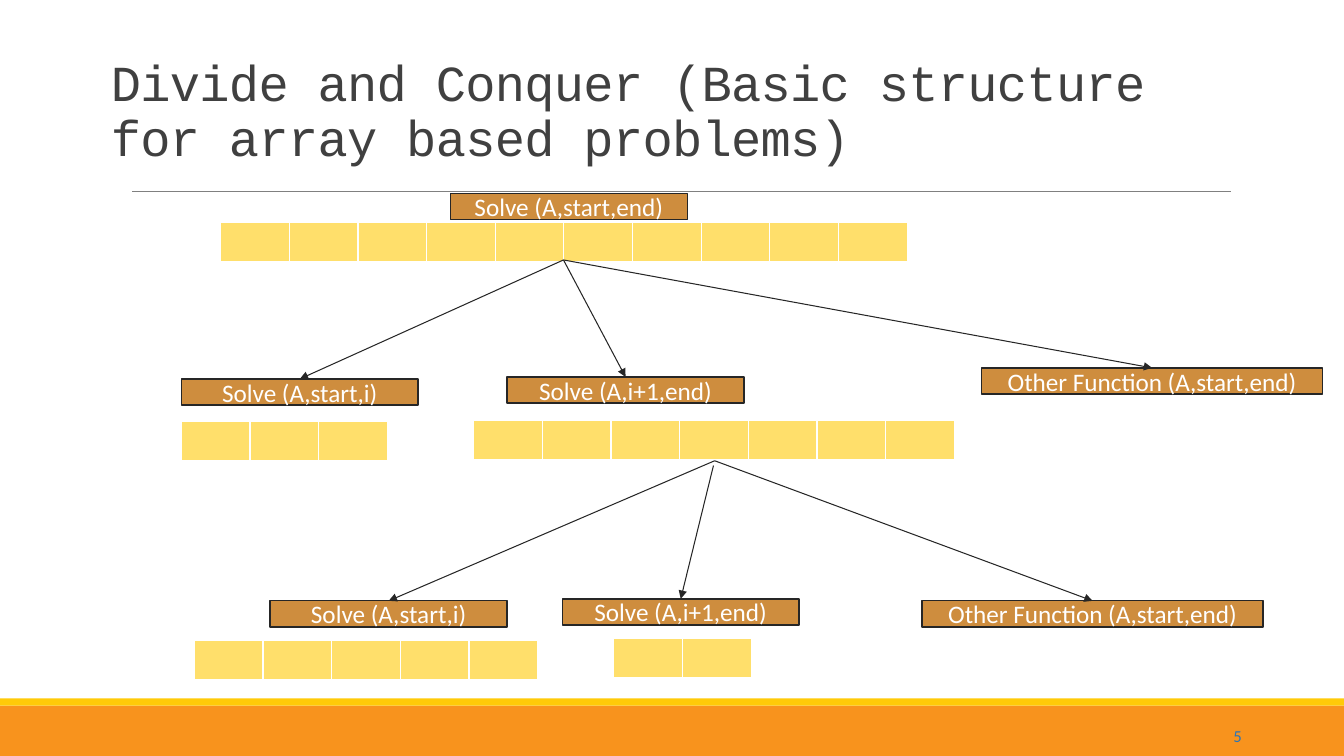
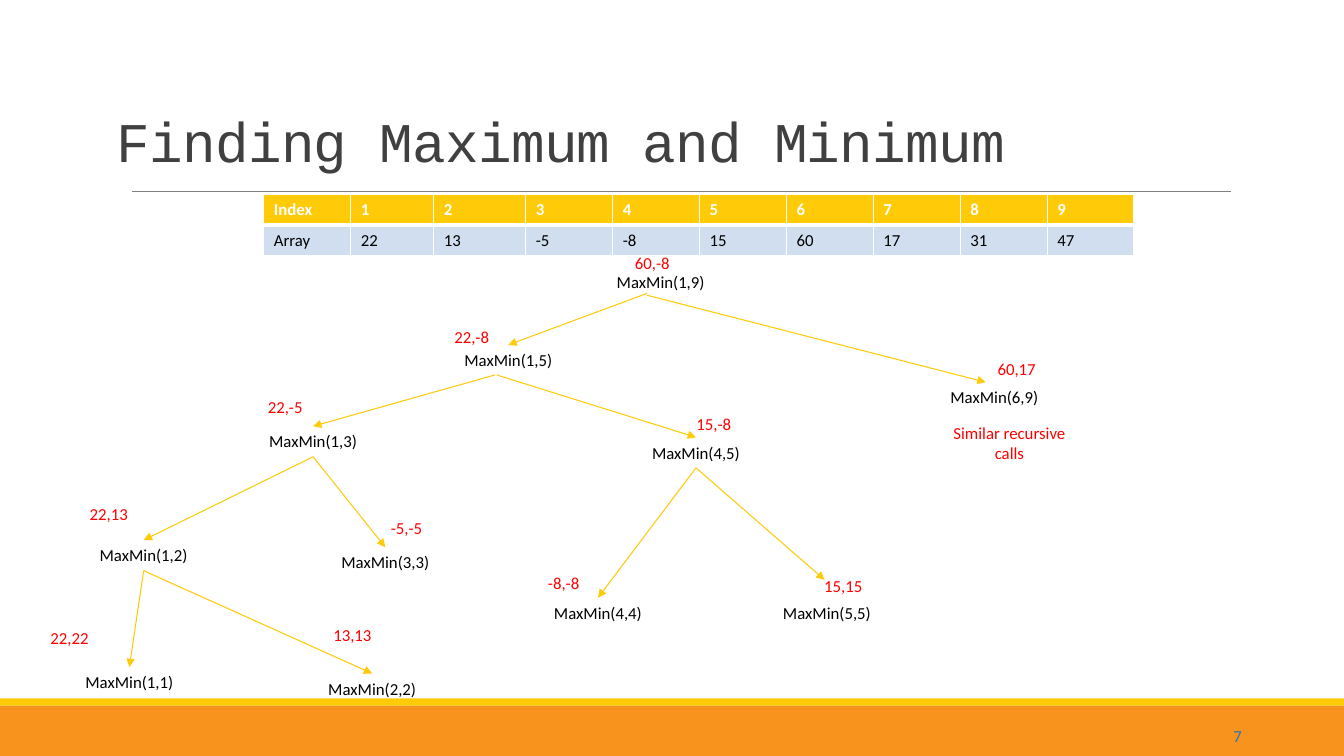
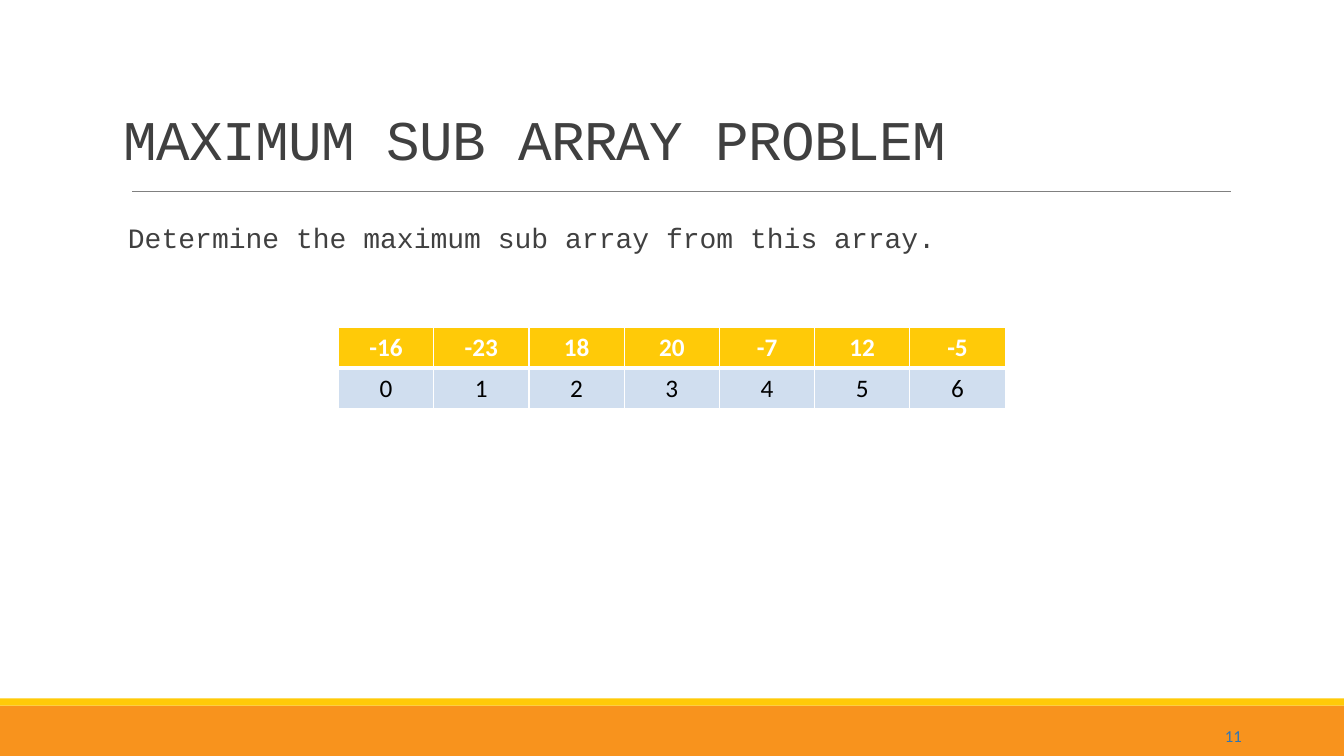
from dataclasses import dataclass
from typing import Optional, Sequence, Union

from lxml.etree import SubElement
from pptx import Presentation
from pptx.dml.color import RGBColor
from pptx.enum.shapes import MSO_AUTO_SHAPE_TYPE as ShapeType, MSO_CONNECTOR as ConnectorType
from pptx.enum.text import MSO_ANCHOR as Anchor, MSO_AUTO_SIZE as AutoSize, PP_ALIGN as Align
from pptx.oxml.ns import qn
from pptx.shapes.base import BaseShape
from pptx.shapes.connector import Connector
from pptx.slide import Slide
from pptx.util import Cm, Pt


@dataclass(frozen=True)
class Theme:
    orange: RGBColor = RGBColor.from_string("F8931D")
    yellow: RGBColor = RGBColor.from_string("FFCA08")
    pale_yellow: RGBColor = RGBColor.from_string("FFDF6B")
    brown: RGBColor = RGBColor.from_string("CE8D3E")
    pale_blue: RGBColor = RGBColor.from_string("D0DEEF")
    blue: RGBColor = RGBColor.from_string("2E75B5")
    red: RGBColor = RGBColor.from_string("FF0000")
    grey: RGBColor = RGBColor.from_string("808080")
    dark: RGBColor = RGBColor.from_string("404040")
    ink: RGBColor = RGBColor.from_string("262626")
    black: RGBColor = RGBColor.from_string("000000")
    white: RGBColor = RGBColor.from_string("FFFFFF")
    heading_font: str = "Courier New"
    text_font: str = "Calibri"
    large_title: int = 40
    long_title: int = 36
    body: int = 20
    label: int = 18
    small: int = 12


THEME = Theme()
TITLE_ONLY, TITLE_AND_CONTENT = 5, 1


@dataclass(frozen=True)
class Box:
    left: float
    top: float
    width: float
    height: float

    def lengths(self) -> tuple[Cm, Cm, Cm, Cm]:
        return Cm(self.left), Cm(self.top), Cm(self.width), Cm(self.height)


@dataclass(frozen=True)
class Point:
    x: float
    y: float


@dataclass(frozen=True)
class Label:
    text: str
    left: float
    top: float


@dataclass(frozen=True)
class Call:
    key: str
    text: str
    left: float
    top: float
    width: float


@dataclass(frozen=True)
class ArrayStrip:
    length: int
    left: float
    top: float


@dataclass(frozen=True)
class Arrow:
    start: Union[str, Point]
    end: Union[str, Point]


def format_text(text_frame, size: int, color: RGBColor, font: str = THEME.text_font,
                alignment: Align = Align.LEFT, bold: bool = False) -> None:
    for paragraph in text_frame.paragraphs:
        paragraph.alignment = alignment
        for run in paragraph.runs:
            run.font.name = font
            run.font.size = Pt(size)
            run.font.bold = bold
            run.font.color.rgb = color


def add_rectangle(slide: Slide, box: Box, fill: RGBColor, line: Optional[RGBColor] = None) -> BaseShape:
    shape = slide.shapes.add_shape(ShapeType.RECTANGLE, *box.lengths())
    shape.shadow.inherit = False
    shape.fill.solid()
    shape.fill.fore_color.rgb = fill
    if line is None:
        shape.line.fill.background()
    else:
        shape.line.color.rgb = line
        shape.line.width = Pt(1)
    return shape


def add_text(slide: Slide, box: Box, text: str, color: RGBColor,
             alignment: Align = Align.LEFT) -> BaseShape:
    shape = slide.shapes.add_textbox(*box.lengths())
    shape.text_frame.word_wrap = True
    shape.text_frame.text = text
    format_text(shape.text_frame, THEME.small, color, alignment=alignment)
    return shape


def add_line(slide: Slide, start: Point, end: Point, color: RGBColor, width: float) -> Connector:
    line = slide.shapes.add_connector(
        ConnectorType.STRAIGHT, Cm(start.x), Cm(start.y), Cm(end.x), Cm(end.y))
    line.line.color.rgb = color
    line.line.width = Pt(width)
    SubElement(line.element.spPr, qn("a:effectLst"))
    return line


def add_arrows(slide: Slide, arrows: Sequence[Arrow], nodes: dict[str, BaseShape],
               color: RGBColor) -> None:
    for arrow in arrows:
        start, end = (place if isinstance(place, Point) else Point(0, 0)
                      for place in (arrow.start, arrow.end))
        connector = add_line(slide, start, end, color, 0.75)
        if isinstance(arrow.start, str):
            connector.begin_connect(nodes[arrow.start], 2)
        if isinstance(arrow.end, str):
            connector.end_connect(nodes[arrow.end], 0)
        SubElement(connector.element.spPr.find(qn("a:ln")), qn("a:tailEnd"), type="triangle")


def style_cell(cell, fill: RGBColor, bottom_width: int) -> None:
    properties = cell._tc.get_or_add_tcPr()
    for side, width in (("L", 1), ("R", 1), ("T", 1), ("B", bottom_width)):
        border = SubElement(properties, qn(f"a:ln{side}"), w=str(Pt(width)))
        SubElement(SubElement(border, qn("a:solidFill")), qn("a:srgbClr"), val=str(THEME.white))
    cell.fill.solid()
    cell.fill.fore_color.rgb = fill


def add_grid(slide: Slide, left: float, top: float, widths: Sequence[float], row_height: float,
             rows: Sequence[Sequence[str]], size: int = THEME.label,
             header_fill: RGBColor = THEME.yellow, alignment: Align = Align.LEFT) -> None:
    box = Box(left, top, sum(widths), row_height * len(rows))
    table = slide.shapes.add_table(len(rows), len(widths), *box.lengths()).table
    table.horz_banding = False
    for column, width in zip(table.columns, widths):
        column.width = Cm(width)
    for row_index, values in enumerate(rows):
        header = row_index == 0
        table.rows[row_index].height = Cm(row_height)
        for column_index, value in enumerate(values):
            cell = table.cell(row_index, column_index)
            style_cell(cell, header_fill if header else THEME.pale_blue, 3 if header else 1)
            if value:
                cell.text_frame.text = value
                format_text(cell.text_frame, size, THEME.white if header else THEME.black,
                            alignment=alignment, bold=header)


def place(shape: BaseShape, box: Box) -> None:
    shape.left, shape.top, shape.width, shape.height = box.lengths()


def add_slide(presentation, layout: int, title: str, title_box: Box, title_size: int,
              number: int) -> Slide:
    slide = presentation.slides.add_slide(presentation.slide_layouts[layout])
    shape = slide.shapes.title
    place(shape, title_box)
    text_frame = shape.text_frame
    text_frame.text = title
    text_frame.auto_size = AutoSize.NONE
    text_frame.vertical_anchor = Anchor.MIDDLE
    text_frame.paragraphs[0].line_spacing = 0.9
    format_text(text_frame, title_size, THEME.dark, THEME.heading_font)
    text_frame.paragraphs[0].runs[0].font._element.set("spc", "-50")
    page_number = add_text(slide, Box(23.93, 18.03, 7.62, 1.02), str(number), THEME.blue, Align.RIGHT)
    page_number.text_frame.vertical_anchor = Anchor.MIDDLE
    return slide


def move_frame_to_master(presentation, slide: Slide) -> None:
    frame = (
        add_rectangle(slide, Box(0, 17.78, 33.87, 1.27), THEME.orange),
        add_rectangle(slide, Box(0, 17.6, 33.87, 0.18), THEME.yellow),
        add_line(slide, Point(3.33, 4.83), Point(31.01, 4.83), THEME.grey, 0.5),
    )
    for identifier, shape in enumerate(frame, start=101):
        shape.element.find(".//" + qn("p:cNvPr")).set("id", str(identifier))
        presentation.slide_master.shapes.element.append(shape.element)


def build_structure_slide(presentation) -> None:
    slide = add_slide(presentation, TITLE_ONLY,
                      "Divide and Conquer (Basic structure for array based problems)",
                      Box(2.54, 0.89, 29.21, 3.89), THEME.long_title, 5)
    move_frame_to_master(presentation, slide)
    cell_width, row_height = 1.73, 1.02
    strips = (
        ArrayStrip(10, 5.56, 5.61),
        ArrayStrip(3, 4.57, 10.62),
        ArrayStrip(7, 11.94, 10.59),
        ArrayStrip(5, 4.9, 16.13),
        ArrayStrip(2, 15.47, 16.08),
    )
    for strip in strips:
        add_grid(slide, strip.left, strip.top, [cell_width] * strip.length, row_height,
                 [[""] * strip.length], header_fill=THEME.pale_yellow)
    solve_width, other_width = 5.97, 8.59
    calls = (
        Call("root", "Solve (A,start,end)", 11.35, 4.88, solve_width),
        Call("left", "Solve (A,start,i)", 4.57, 9.55, solve_width),
        Call("right", "Solve (A,i+1,end)", 12.78, 9.5, solve_width),
        Call("other", "Other Function (A,start,end)", 24.74, 9.27, other_width),
        Call("lower left", "Solve (A,start,i)", 6.81, 15.14, solve_width),
        Call("lower right", "Solve (A,i+1,end)", 14.17, 15.09, solve_width),
        Call("lower other", "Other Function (A,start,end)", 23.24, 15.14, other_width),
    )
    nodes = {}
    for call in calls:
        shape = add_rectangle(slide, Box(call.left, call.top, call.width, 0.66),
                              THEME.brown, THEME.ink)
        shape.text_frame.text = call.text
        shape.text_frame.vertical_anchor = Anchor.MIDDLE
        format_text(shape.text_frame, THEME.label, THEME.white, alignment=Align.CENTER)
        nodes[call.key] = shape
    upper, lower = Point(14.2, 6.55), Point(18.01, 11.61)
    arrows = (
        Arrow(upper, "left"),
        Arrow(upper, "right"),
        Arrow(upper, "other"),
        Arrow(lower, "lower left"),
        Arrow(Point(17.98, 11.73), "lower right"),
        Arrow(lower, "lower other"),
    )
    add_arrows(slide, arrows, nodes, THEME.ink)


def build_max_min_slide(presentation) -> None:
    slide = add_slide(presentation, TITLE_ONLY, "Finding Maximum and Minimum",
                      Box(2.69, 2.79, 29.21, 1.68), THEME.large_title, 7)
    values = (22, 13, -5, -8, 15, 60, 17, 31, 47)
    rows = (
        ["Index", *(str(index) for index in range(1, len(values) + 1))],
        ["Array", *(str(value) for value in values)],
    )
    add_grid(slide, 6.65, 4.9, [2.19, 2.09, 2.32] + [2.19] * 7, 0.77, rows, THEME.small)
    calls = (
        Label("1,9", 14.2, 6.73),
        Label("1,5", 10.36, 8.69),
        Label("6,9", 22.61, 9.63),
        Label("1,3", 5.44, 10.74),
        Label("4,5", 15.09, 11.02),
        Label("1,2", 1.17, 13.61),
        Label("3,3", 7.26, 13.79),
        Label("4,4", 12.62, 15.06),
        Label("5,5", 18.39, 15.06),
        Label("1,1", 0.81, 16.81),
        Label("2,2", 6.93, 16.97),
    )
    label_height = 0.77
    nodes = {
        call.text: add_text(slide, Box(call.left, call.top, 4.9, label_height),
                            f"MaxMin({call.text})", THEME.black, Align.CENTER)
        for call in calls
    }
    arrows = (
        Arrow(Point(16.31, 7.39), "1,5"),
        Arrow(Point(16.31, 7.44), Point(24.84, 9.63)),
        Arrow(Point(12.47, 9.45), "1,3"),
        Arrow(Point(12.52, 9.45), "4,5"),
        Arrow("1,3", "1,2"),
        Arrow("1,3", "3,3"),
        Arrow("4,5", "4,4"),
        Arrow("4,5", Point(20.78, 14.61)),
        Arrow("1,2", "1,1"),
        Arrow("1,2", "2,2"),
    )
    add_arrows(slide, arrows, nodes, THEME.yellow)
    results = (
        Label("60,-8", 15.75, 6.25),
        Label("22,-8", 11.2, 8.1),
        Label("60,17", 24.89, 8.92),
        Label("22,-5", 6.5, 9.88),
        Label("15,-8", 17.3, 10.29),
        Label("22,13", 2.01, 12.57),
        Label("-5,-5", 9.6, 12.93),
        Label("-8,-8", 13.56, 14.3),
        Label("15,15", 20.52, 14.38),
        Label("22,22", 1.02, 15.7),
        Label("13,13", 8.15, 15.62),
    )
    for result in results:
        add_text(slide, Box(result.left, result.top, 1.93, label_height), result.text, THEME.red)
    add_text(slide, Box(23.09, 10.52, 4.7, 1.27), "Similar recursive\ncalls", THEME.red, Align.CENTER)


def build_sub_array_slide(presentation) -> None:
    slide = add_slide(presentation, TITLE_AND_CONTENT, "MAXIMUM SUB ARRAY PROBLEM",
                      Box(2.87, 2.74, 29.21, 1.68), THEME.large_title, 11)
    body = slide.placeholders[1]
    place(body, Box(2.34, 5.44, 29.21, 10.74))
    body.text_frame.text = "Determine the maximum sub array from this array."
    body.text_frame.auto_size = AutoSize.NONE
    paragraph = body.text_frame.paragraphs[0]
    properties = paragraph._p.get_or_add_pPr()
    properties.set("marL", str(Cm(1.27)))
    properties.set("indent", str(-Cm(0.64)))
    SubElement(properties, qn("a:buNone"))
    paragraph.space_before = Pt(0)
    format_text(body.text_frame, THEME.body, THEME.dark, THEME.heading_font)
    values = (-16, -23, 18, 20, -7, 12, -5)
    rows = (
        [str(value) for value in values],
        [str(index) for index in range(len(values))],
    )
    add_grid(slide, 8.53, 8.26, [2.4] * len(values), 1.02, rows, alignment=Align.CENTER)


def main() -> None:
    presentation = Presentation()
    presentation.slide_width, presentation.slide_height = Cm(33.87), Cm(19.05)
    build_structure_slide(presentation)
    build_max_min_slide(presentation)
    build_sub_array_slide(presentation)
    presentation.save("out.pptx")


if __name__ == "__main__":
    main()
